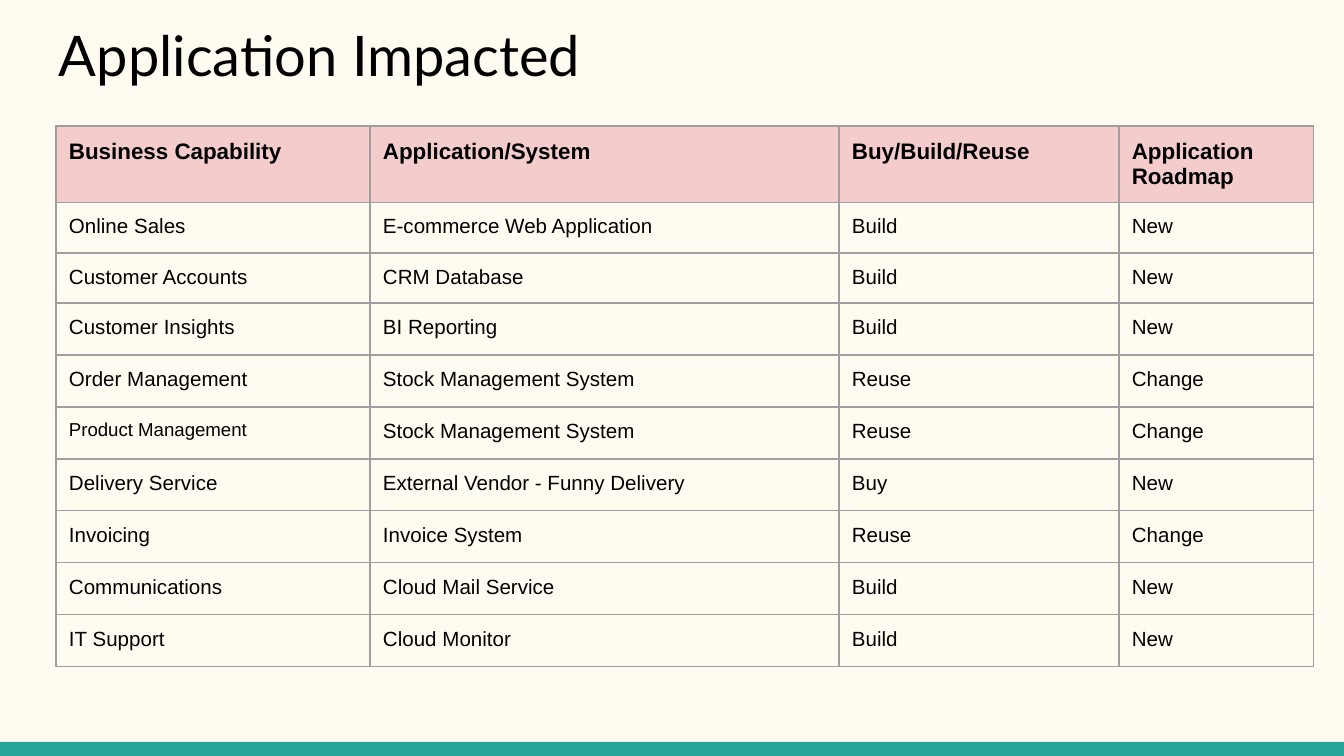
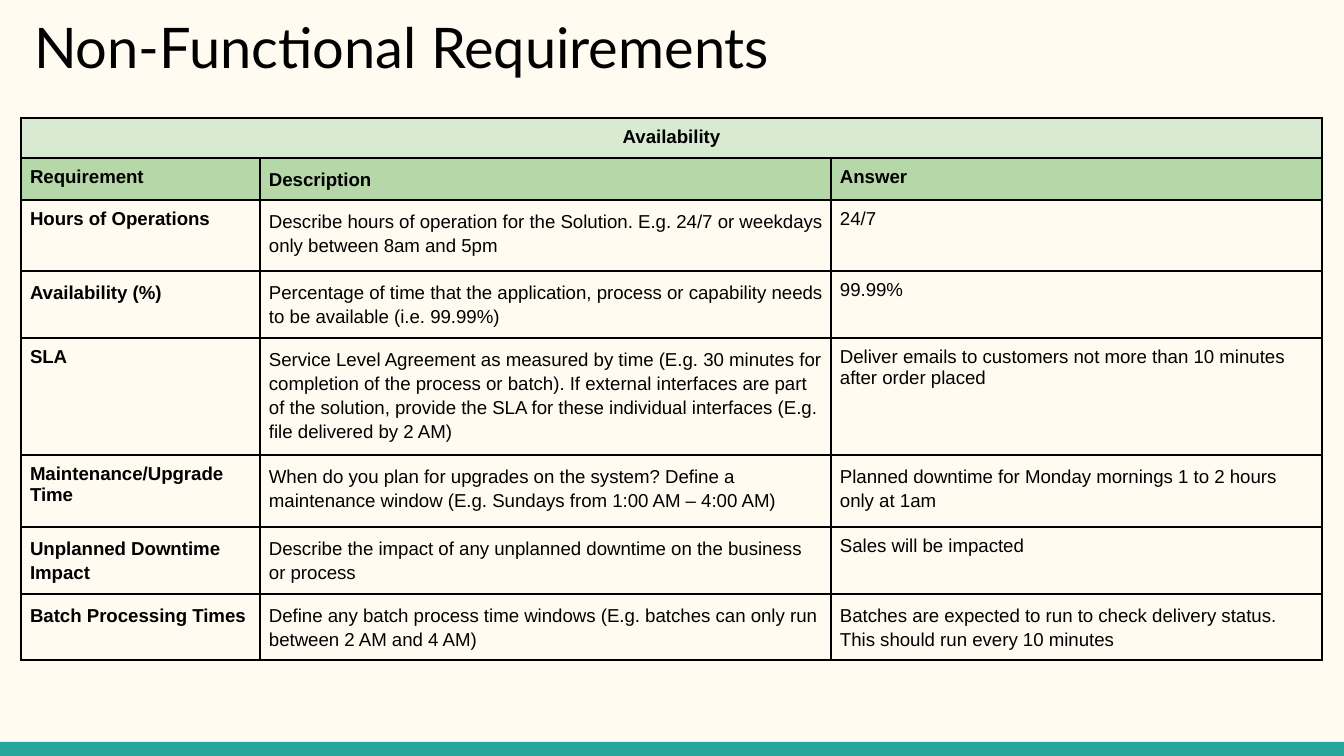
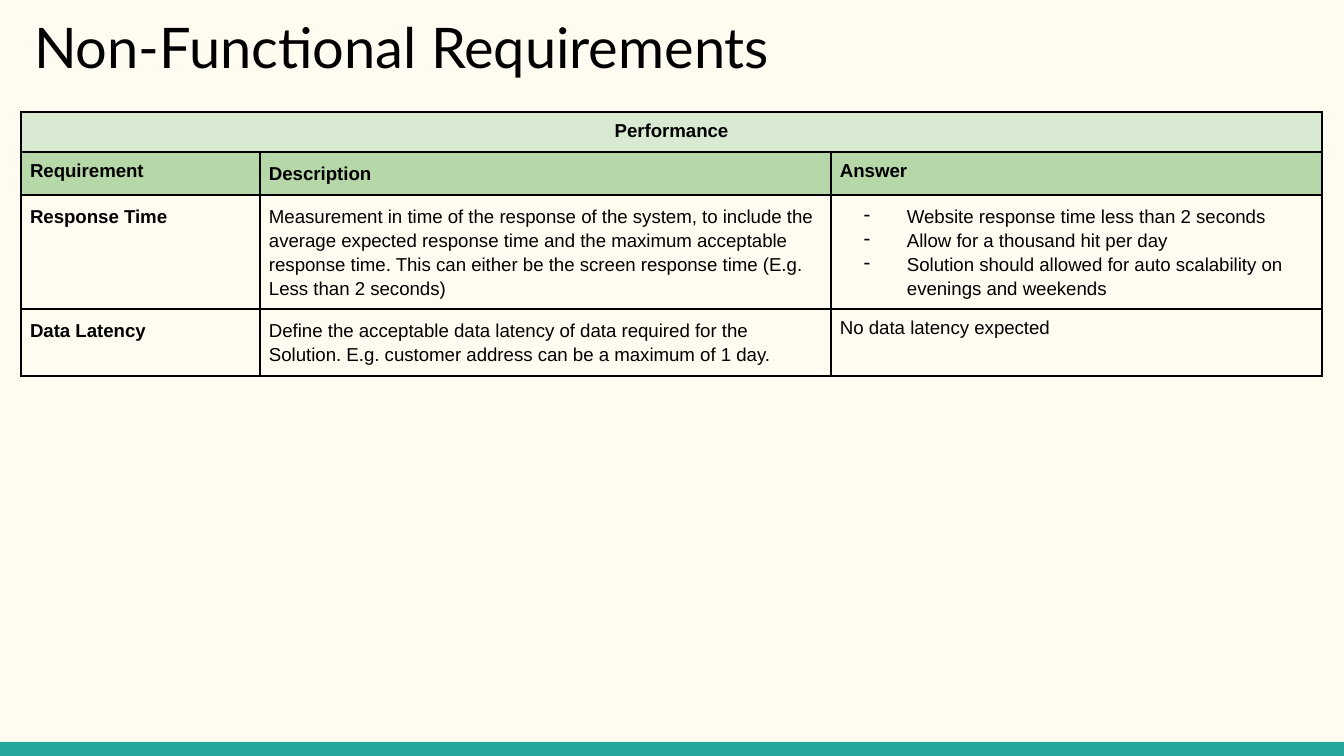
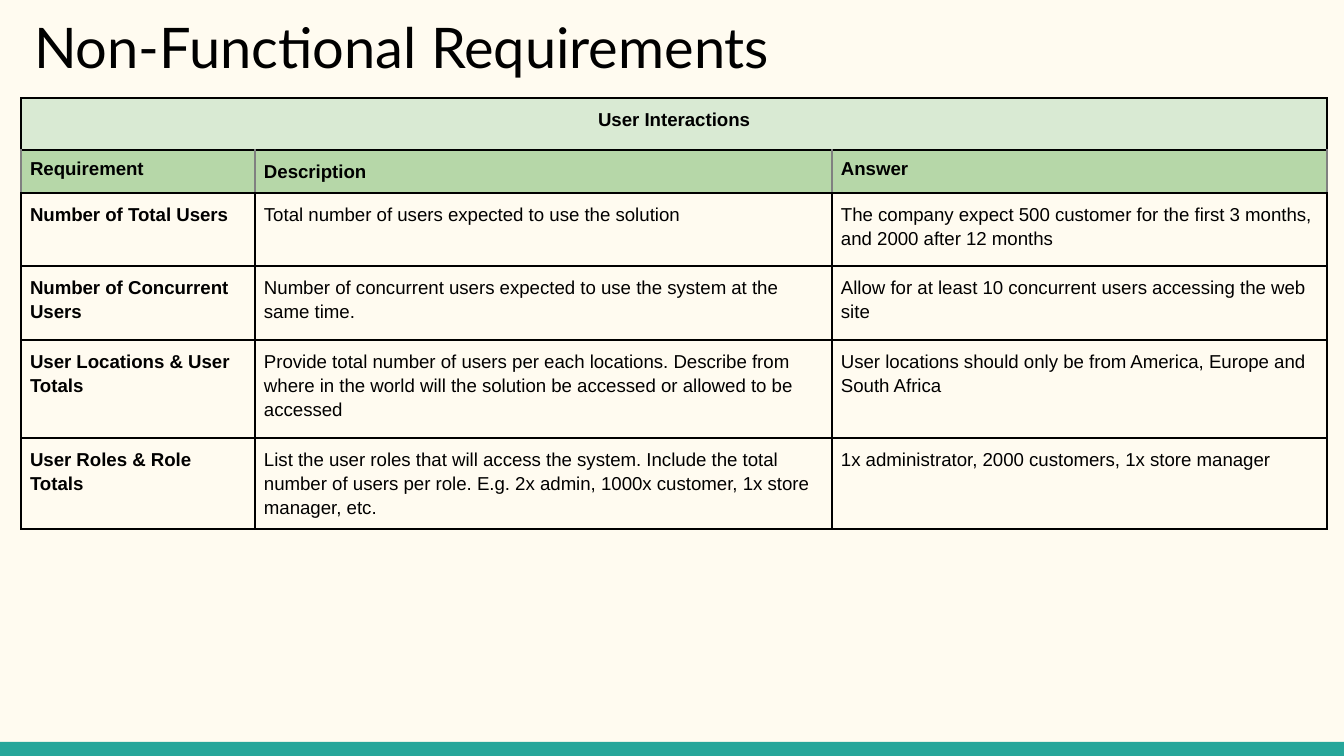
from lxml import etree
from pptx import Presentation
from pptx import util as u
from pptx.dml.color import RGBColor
from pptx.enum import shapes, text
from pptx.oxml.ns import qn

COLORS = {
    "paper": "FFFBF0", "teal": "26A69A", "ink": "000000",
    "rose": "F4CCCC", "mint": "D9EAD3", "leaf": "B6D7A8",
    "grid": "9E9E9E", "grey": "808080",
}
SCALE = 914400 / 134.4
TITLE = "Non-Functional Requirements"
HEADINGS = ("Requirement", "Description", "Answer")


def px(n):
    return u.Emu(round(n * SCALE))


def rgb(name):
    return RGBColor.from_string(COLORS[name])


def assign(obj, values):
    for name, value in values.items():
        setattr(obj, name, value)


class Deck:
    def __init__(self):
        self.prs = Presentation()
        assign(self.prs, {"slide_width": px(1344), "slide_height": px(756)})
        fill = self.prs.slide_master.background.fill
        fill.solid()
        fill.fore_color.rgb = rgb("paper")
        self.s = None

    def slide(self, title, x=21, y=0):
        self.s = self.prs.slides.add_slide(self.prs.slide_layouts[5])
        self.band()
        self.title(title, x, y)

    def band(self):
        sp = self.s.shapes.add_shape(shapes.MSO_SHAPE.RECTANGLE,
                                     0, px(742), px(1344), px(14))
        sp.shadow.inherit = False
        sp.fill.solid()
        sp.fill.fore_color.rgb = rgb("teal")
        sp.line.fill.background()

    def title(self, words, x, y):
        sp = self.s.shapes.title
        assign(sp, {"left": px(x), "top": px(y),
                    "width": px(1253), "height": px(90)})
        tf = sp.text_frame
        tf.text = words
        assign(tf, {"auto_size": text.MSO_AUTO_SIZE.NONE, "word_wrap": True,
                    "vertical_anchor": text.MSO_ANCHOR.TOP})
        assign(tf, {"margin_" + side: px(13)
                    for side in ("left", "top", "right", "bottom")})
        p = tf.paragraphs[0]
        p.alignment = text.PP_ALIGN.LEFT
        self.font(p, 30, name="Lato")

    def font(self, p, size, bold=False, name="Arial"):
        for r in p.runs:
            assign(r.font, {"size": u.Pt(size), "bold": bold, "name": name})
            r.font.color.rgb = rgb("ink")

    def table(self, x, y, cols, rows):
        frame = self.s.shapes.add_table(len(rows), len(cols), px(x), px(y),
                                        px(sum(cols)), px(sum(rows)))
        tbl = frame.table
        assign(tbl, {"first_row": False, "horz_banding": False})
        for col, width in zip(tbl.columns, cols):
            col.width = px(width)
        for row, height in zip(tbl.rows, rows):
            row.height = px(height)
        return tbl

    def cell(self, cell, words, size, bold, inset, fill, line, sides, width):
        assign(cell, {"margin_" + side: px(inset)
                      for side in ("left", "top", "right", "bottom")})
        cell.text_frame.text = words
        for p in cell.text_frame.paragraphs:
            self.font(p, size, bold)
            if not words:
                etree.SubElement(p._p, qn("a:endParaRPr"), sz=str(size * 100))
        self.borders(cell, {"L": sides, "R": sides, "T": line, "B": line}, width)
        if fill:
            cell.fill.solid()
            cell.fill.fore_color.rgb = rgb(fill)
        else:
            cell.fill.background()

    def borders(self, cell, colors, width):
        tc_pr = cell._tc.get_or_add_tcPr()
        for side, color in colors.items():
            ln = etree.SubElement(tc_pr, qn("a:ln" + side), w=str(u.Pt(width)))
            solid = etree.SubElement(ln, qn("a:solidFill"))
            etree.SubElement(solid, qn("a:srgbClr"), val=COLORS[color])

    def bullet(self, p):
        p_pr = p._p.get_or_add_pPr()
        p_pr.set("marL", str(px(67)))
        p_pr.set("indent", str(px(-43)))
        color = etree.SubElement(p_pr, qn("a:buClr"))
        etree.SubElement(color, qn("a:srgbClr"), val=COLORS["ink"])
        etree.SubElement(p_pr, qn("a:buChar"), char="-")

    def applications(self, rows, small):
        tbl = self.table(56, 126, (314, 469, 280, 195),
                         (65, 51, 50) + (52,) * 7)
        for i, row in enumerate(rows):
            head = i == 0
            for j, words in enumerate(row):
                size = 12 if head else 10 if words == small else 11
                self.cell(tbl.cell(i, j), words, size, head, 13,
                          "rose" if head else None, "grid", "grid", 0.75)

    def requirements(self, topic, y, heights, body, tight,
                     cols=(239, 571, 491), header_sides="ink"):
        tbl = self.table(21, y, cols, heights)
        tight = tight | {(1, 0), (1, 2)}
        fills = {0: "mint", 1: "leaf"}
        for i, row in enumerate([(topic, "", ""), HEADINGS, *body]):
            for j, words in enumerate(row):
                cell = tbl.cell(i, j)
                self.cell(cell, words, 10, i < 2 or j == 0, 9, fills.get(i),
                          "ink", header_sides if i == 1 else "ink", 1)
                paragraphs = cell.text_frame.paragraphs
                for p in paragraphs:
                    if (i, j) not in tight:
                        p.line_spacing = 1.15
                    if len(paragraphs) > 1:
                        self.bullet(p)
        tbl.cell(0, 0).merge(tbl.cell(0, 2))
        tbl.cell(0, 0).text_frame.paragraphs[0].alignment = text.PP_ALIGN.CENTER


def main():
    deck = Deck()

    deck.slide("Application Impacted", 46, 8)
    deck.applications([
        ("Business Capability", "Application/System", "Buy/Build/Reuse",
         "Application\nRoadmap"),
        ("Online Sales", "E-commerce Web Application", "Build", "New"),
        ("Customer Accounts", "CRM Database", "Build", "New"),
        ("Customer Insights", "BI Reporting", "Build", "New"),
        ("Order Management", "Stock Management System", "Reuse", "Change"),
        ("Product Management", "Stock Management System", "Reuse", "Change"),
        ("Delivery Service", "External Vendor - Funny Delivery", "Buy", "New"),
        ("Invoicing", "Invoice System", "Reuse", "Change"),
        ("Communications", "Cloud Mail Service", "Build", "New"),
        ("IT Support", "Cloud Monitor", "Build", "New"),
    ], small="Product Management")

    deck.slide(TITLE)
    deck.requirements("Availability", 118, (40, 42, 71, 67, 117, 72, 67, 66), [
        ("Hours of Operations",
         "Describe hours of operation for the Solution. E.g. 24/7 or weekdays "
         "only between 8am and 5pm",
         "24/7"),
        ("Availability (%)",
         "Percentage of time that the application, process or capability needs "
         "to be available (i.e. 99.99%)",
         "99.99%"),
        ("SLA",
         "Service Level Agreement as measured by time (E.g. 30 minutes for "
         "completion of the process or batch). If external interfaces are part "
         "of the solution, provide the SLA for these individual interfaces "
         "(E.g. file delivered by 2 AM)",
         "Deliver emails to customers not more than 10 minutes after order "
         "placed"),
        ("Maintenance/Upgrade Time",
         "When do you plan for upgrades on the system? Define a maintenance "
         "window (E.g. Sundays from 1:00 AM – 4:00 AM)",
         "Planned downtime for Monday mornings 1 to 2 hours only at 1am"),
        ("Unplanned Downtime Impact",
         "Describe the impact of any unplanned downtime on the business or "
         "process",
         "Sales will be impacted"),
        ("Batch Processing Times",
         "Define any batch process time windows (E.g. batches can only run "
         "between 2 AM and 4 AM)",
         "Batches are expected to run to check delivery status. This should "
         "run every 10 minutes"),
    ], tight={(0, 0), (2, 0), (2, 2), (3, 2), (4, 0), (4, 2), (5, 0), (6, 2)})

    deck.slide(TITLE)
    deck.requirements("Performance", 112, (40, 43, 114, 67), [
        ("Response Time",
         "Measurement in time of the response of the system, to include the "
         "average expected response time and the maximum acceptable response "
         "time. This can either be the screen response time (E.g. Less than 2 "
         "seconds)",
         "Website response time less than 2 seconds\n"
         "Allow for a thousand hit per day\n"
         "Solution should allowed for auto scalability on evenings and "
         "weekends"),
        ("Data Latency",
         "Define the acceptable data latency of data required for the "
         "Solution. E.g. customer address can be a maximum of 1 day.",
         "No data latency expected"),
    ], tight={(0, 0), (3, 2)})

    deck.slide(TITLE)
    deck.requirements("User Interactions", 98, (52, 43, 73, 74, 98, 91), [
        ("Number of Total Users",
         "Total number of users expected to use the solution",
         "The company expect 500 customer for the first 3 months, and 2000 "
         "after 12 months"),
        ("Number of Concurrent Users",
         "Number of concurrent users expected to use the system at the same "
         "time.",
         "Allow for at least 10 concurrent users accessing the web site"),
        ("User Locations & User Totals",
         "Provide total number of users per each locations. Describe from "
         "where in the world will the solution be accessed or allowed to be "
         "accessed",
         "User locations should only be from America, Europe and South Africa"),
        ("User Roles & Role Totals",
         "List the user roles that will access the system. Include the total "
         "number of users per role. E.g. 2x admin, 1000x customer, 1x store "
         "manager, etc.",
         "1x administrator, 2000 customers, 1x store manager"),
    ], tight=set(), cols=(234, 577, 495), header_sides="grey")

    deck.prs.save("out.pptx")


if __name__ == "__main__":
    main()
